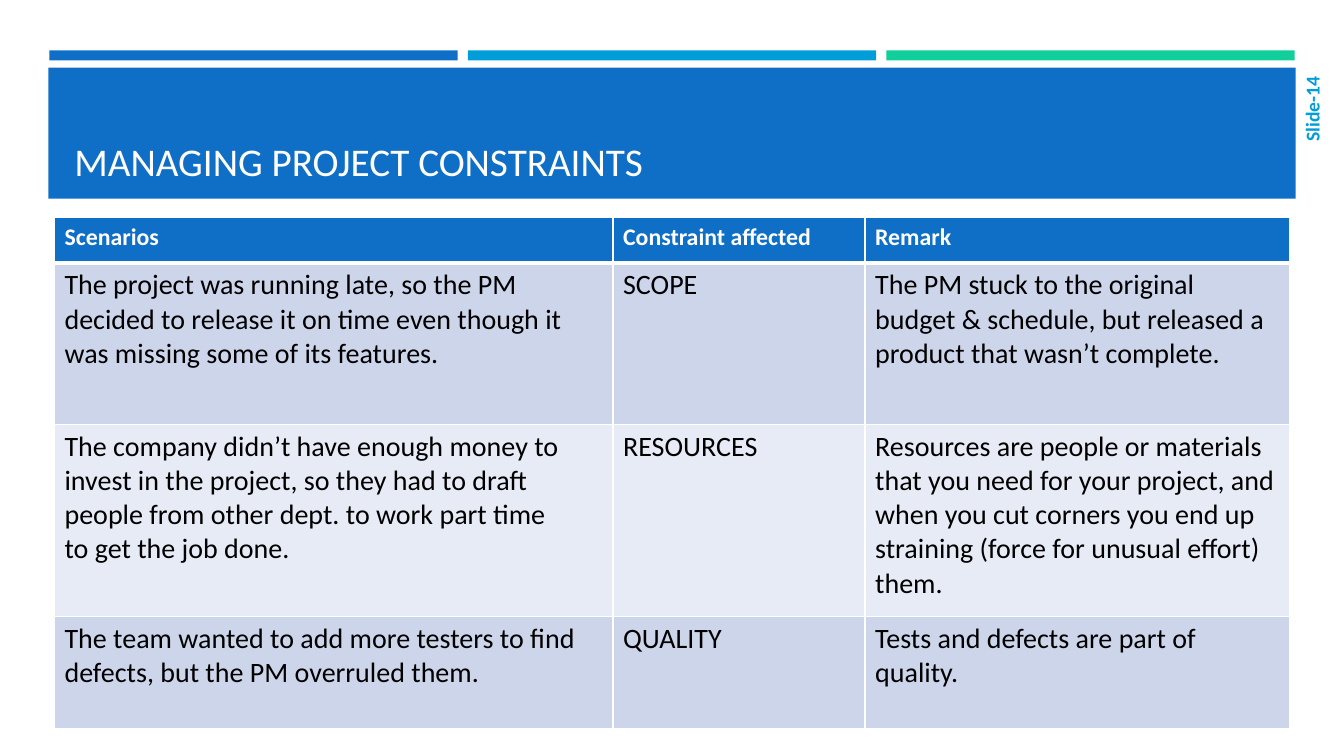
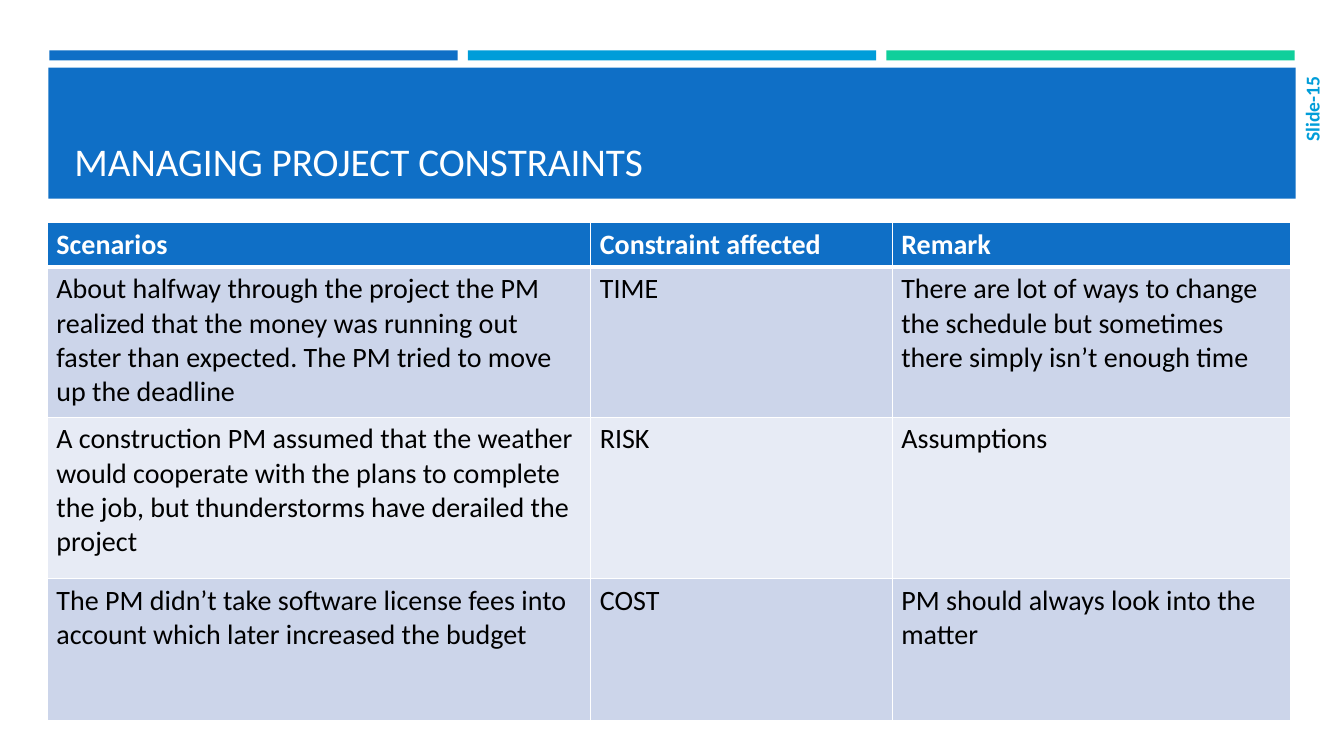
import pptx
import pptx.util
import pptx.dml.color
import pptx.enum.shapes
import pptx.enum.text
import pptx.oxml
import pptx.oxml.ns

Inches = pptx.util.Inches
Pt = pptx.util.Pt
ALIGN = pptx.enum.text.PP_ALIGN
ANCHOR = pptx.enum.text.MSO_ANCHOR

FONT = "Calibri"
TITLE = "MANAGING PROJECT CONSTRAINTS"
HEADS = ["Scenarios", "Constraint affected", "Remark"]
HUES = {
    "blue": "0F6FC6",
    "sky": "009DD9",
    "green": "10CF9B",
    "dark": "CCD5EA",
    "light": "E7EBF5",
    "white": "FFFFFF",
    "black": "000000",
}

SLIDES = [
    {
        "label": "Slide-14",
        "spot": (0.54, 2.16),
        "cols": [5.54, 2.5, 4.21],
        "rows": [0.45, 1.6, 1.91, 1.11],
        "head": 17,
        "inset": 0.1,
        "body": [
            ["The project was running late, so the PM decided to release it on time "
             "even though it was missing some of its features.",
             "SCOPE",
             "The PM stuck to the original budget & schedule, but released a product "
             "that wasn’t complete."],
            ["The company didn’t have enough money to invest in the project, so they "
             "had to draft people from other dept. to work part time\n"
             "to get the job done.",
             "RESOURCES",
             "Resources are people or materials that you need for your project, and "
             "when you cut corners you end up straining (force for unusual effort) them."],
            ["The team wanted to add more testers to find defects, but the PM "
             "overruled them.",
             "QUALITY",
             "Tests and defects are part of quality."],
        ],
    },
    {
        "label": "Slide-15",
        "spot": (0.47, 2.21),
        "cols": [5.39, 2.99, 3.95],
        "rows": [0.44, 1.49, 1.6, 1.41],
        "head": 20,
        "inset": 0.09,
        "body": [
            ["About halfway through the project the PM realized that the money was "
             "running out faster than expected. The PM tried to move up the deadline",
             "TIME",
             "There are lot of ways to change the schedule but sometimes there simply "
             "isn’t enough time"],
            ["A construction PM assumed that the weather would cooperate with the plans "
             "to complete the job, but thunderstorms have derailed the project",
             "RISK",
             "Assumptions"],
            ["The PM didn’t take software license fees into account which later "
             "increased the budget",
             "COST",
             "PM should always look into the matter"],
        ],
    },
]


def color(hue):
    """Return the named colour."""
    return pptx.dml.color.RGBColor.from_string(HUES[hue])


def write(frame, text, size, hue, bold=False):
    """Write text into a frame, with a line break at each newline."""
    para = frame.paragraphs[0]
    for i, line in enumerate(text.split("\n")):
        if i:
            para.add_line_break()
        run = para.add_run()
        run.text = line
        run.font.name = FONT
        run.font.size = Pt(size)
        run.font.bold = bold
        run.font.color.rgb = color(hue)
    return para


def band(slide, box, hue):
    """Draw a plain filled bar."""
    kind = pptx.enum.shapes.MSO_SHAPE.RECTANGLE
    bar = slide.shapes.add_shape(kind, *map(Inches, box))
    bar.shadow.inherit = False
    bar.fill.solid()
    bar.fill.fore_color.rgb = color(hue)
    bar.line.fill.background()


def label(slide, box, anchor):
    """Add an empty wrapped text box and return its frame."""
    frame = slide.shapes.add_textbox(*map(Inches, box)).text_frame
    frame.word_wrap = True
    frame.vertical_anchor = anchor
    return frame


def header(slide, tag):
    """Draw the bars, the title and the upright slide tag."""
    for i, hue in enumerate(["blue", "sky", "green"]):
        band(slide, (0.49 + i * 4.15, 0.5, 4.05, 0.1), hue)
    band(slide, (0.48, 0.67, 12.37, 1.3), "blue")
    write(label(slide, (0.64, 0.77, 12.06, 1.11), ANCHOR.BOTTOM), TITLE, 28, "white")
    side = label(slide, (12.87, 0.66, 0.28, 1.12), ANCHOR.MIDDLE)
    side._txBody.bodyPr.set("vert", "vert270")
    write(side, tag, 14, "sky", True).alignment = ALIGN.RIGHT


def border(cell, top, base):
    """Give a cell white edges, with its own top and base widths."""
    props = cell._tc.get_or_add_tcPr()
    space = pptx.oxml.ns.nsdecls("a")
    for edge, width in (("L", 1), ("R", 1), ("T", top), ("B", base)):
        props.append(pptx.oxml.parse_xml(
            f'<a:ln{edge} {space} w="{Pt(width)}"><a:solidFill>'
            f'<a:srgbClr val="{HUES["white"]}"/></a:solidFill></a:ln{edge}>'))


def grid(slide, data):
    """Build the table of scenarios."""
    cols, rows = data["cols"], data["rows"]
    box = (*data["spot"], sum(cols), sum(rows))
    table = slide.shapes.add_table(len(rows), len(cols), *map(Inches, box)).table
    for col, width in zip(table.columns, cols):
        col.width = Inches(width)
    for row, height in zip(table.rows, rows):
        row.height = Inches(height)
    for r, texts in enumerate([HEADS] + data["body"]):
        first = r == 0
        shade = "blue" if first else "dark" if r % 2 else "light"
        for c, text in enumerate(texts):
            cell = table.cell(r, c)
            border(cell, 3 if r == 1 else 1, 3 if first else 1)
            cell.fill.solid()
            cell.fill.fore_color.rgb = color(shade)
            cell.margin_left = cell.margin_right = Inches(data["inset"])
            cell.margin_top = cell.margin_bottom = Inches(0.05)
            write(cell.text_frame, text, data["head"] if first else 20,
                  "white" if first else "black", first)


def main():
    """Build and save the slides."""
    deck = pptx.Presentation()
    deck.slide_width = Inches(13.33)
    deck.slide_height = Inches(7.5)
    for data in SLIDES:
        slide = deck.slides.add_slide(deck.slide_layouts[6])
        header(slide, data["label"])
        grid(slide, data)
    deck.save("out.pptx")


main()
